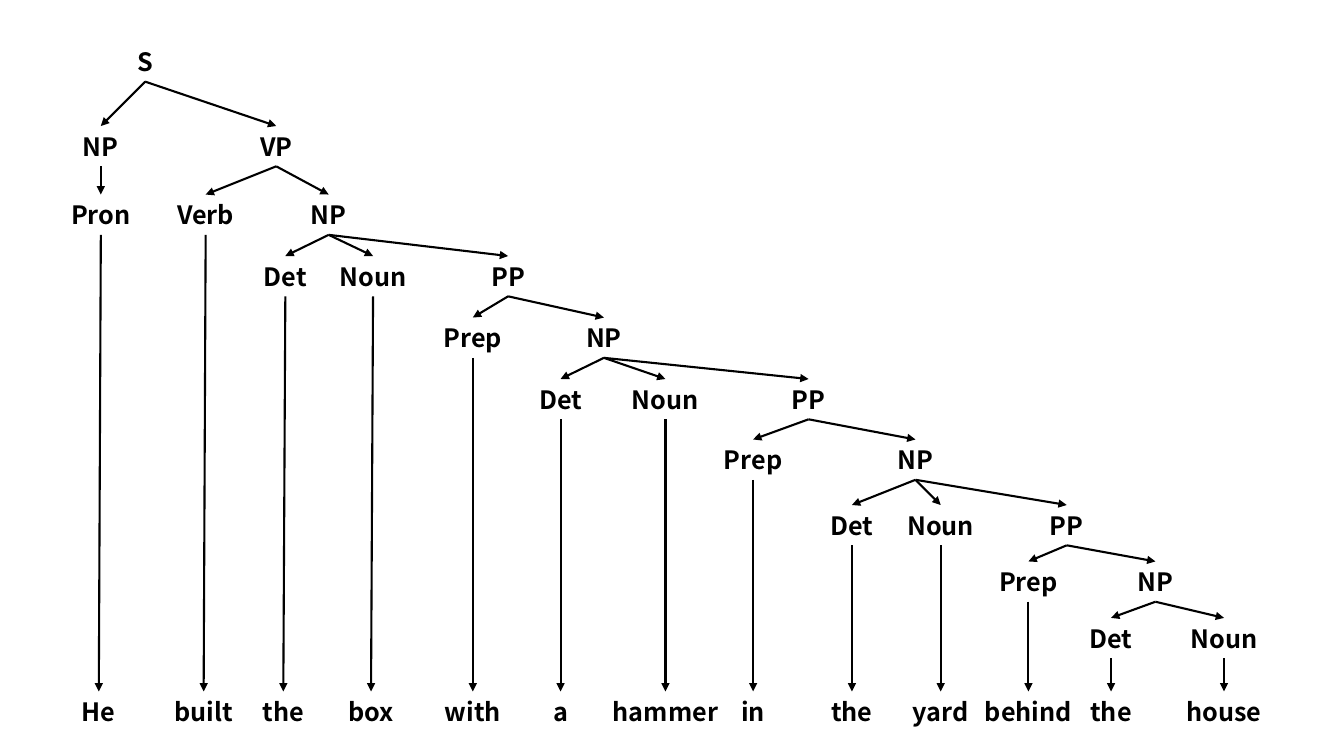
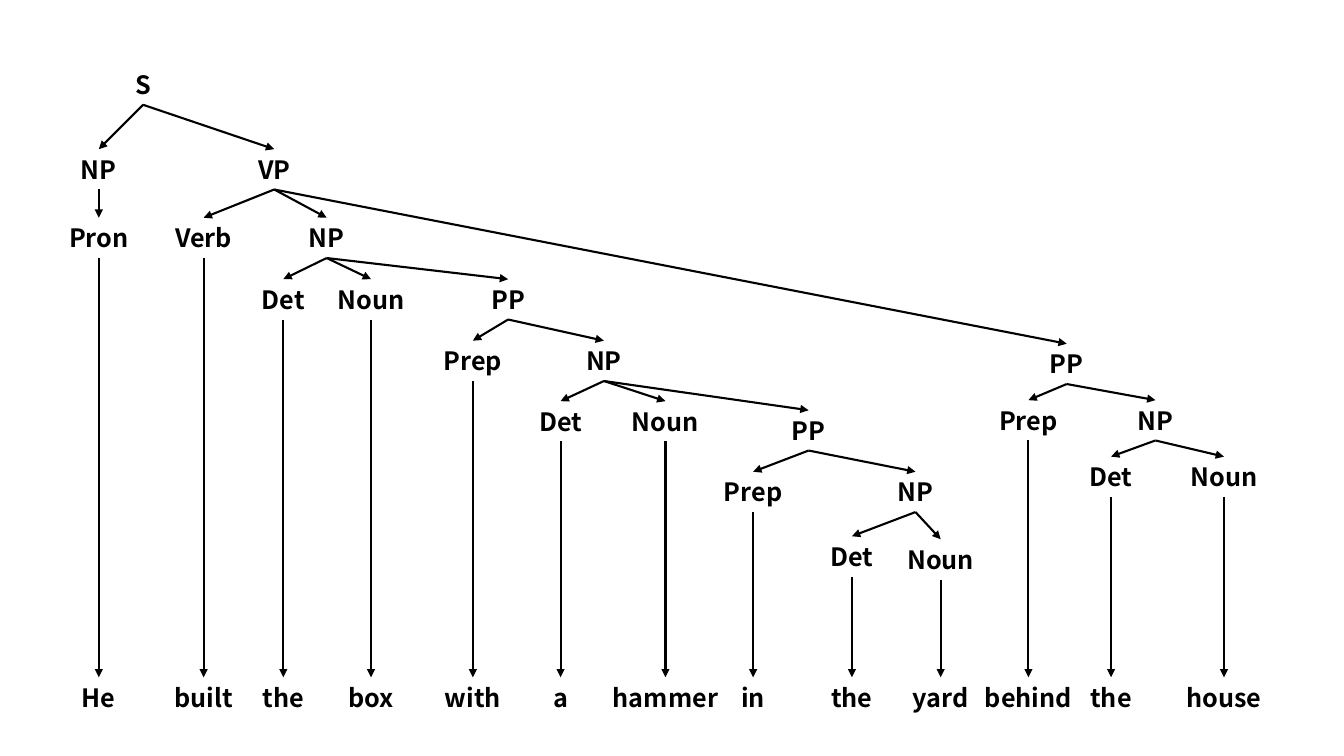
from dataclasses import dataclass

from lxml import etree
from pptx import Presentation
from pptx import util as u
from pptx.dml.color import RGBColor
from pptx.enum import shapes, text
from pptx.oxml.ns import qn

# Grid: the slide is 13.33 columns wide and 7.5 rows high
WIDE, HIGH = 13.33, 7.5
WORDS = "He built the box with a hammer in the yard behind the house".split()
COLS = [0.98, 2.02, 2.81, 3.68, 4.69, 5.56, 6.6,
        7.47, 8.45, 9.33, 10.2, 11.02, 12.14]


def tint(code):
    return RGBColor.from_string(code)


# Grammar: each node has a label, a column, a level and its children
@dataclass
class Node:
    label: str
    col: float
    level: int
    kids: tuple = ()
    word: int = -1
    sag: float = 0


def part(label, word, level, sag=0):
    return Node(label, COLS[word], level, word=word, sag=sag)


def noun(col, level, word, *more, sag=0):
    """Noun phrase: Det and Noun over two words, then any further phrase."""
    kids = part("Det", word, level + 1), part("Noun", word + 1, level + 1, sag)
    return Node("NP", col, level, kids + more)


def prep(col, level, word, right, *more, sag=0):
    """Prepositional phrase: Prep and a noun phrase at column right."""
    kids = (part("Prep", word, level + 1),
            noun(right, level + 1, word + 1, *more, sag=sag))
    return Node("PP", col, level, kids)


def parse_tree(mid, last, split, sag=0):
    """Hang the last phrase on the verb if split, else on the yard."""
    behind = prep(10.58, last, 10, 11.46)
    low, top = ((), (behind,)) if split else ((behind,), ())
    yard = prep(8.02, mid, 7, 9.08, *low, sag=sag)
    hammer = prep(5.04, 3, 4, 5.99, yard)
    box = noun(3.24, 2, 2, hammer)
    he = Node("NP", 0.98, 1, (part("Pron", 0, 2),))
    verb = Node("VP", 2.72, 1, (part("Verb", 1, 2), box) + top)
    return Node("S", 1.42, 0, (he, verb))


class Deck:
    FONT, SIZE, INK, LINE = "Noto Sans CJK JP", 18, "000000", 1.5
    BOX, BROAD, TALL = 0.87, 1.31, 0.4

    def __init__(self):
        self.prs = Presentation()
        self.prs.slide_width = u.Inches(WIDE)
        self.prs.slide_height = u.Inches(HIGH)

    def page(self, rows, base, shift=0):
        self.slide = self.prs.slides.add_slide(self.prs.slide_layouts[6])
        self.rows, self.base, self.shift = rows, base, shift

    def label(self, words, col, row, wide=BOX):
        box = self.slide.shapes.add_textbox(
            *map(u.Inches, (col - wide / 2, row, wide, self.TALL)))
        frame = box.text_frame
        frame.word_wrap = True
        frame.auto_size = text.MSO_AUTO_SIZE.SHAPE_TO_FIT_TEXT
        para = frame.paragraphs[0]
        para.text = words
        para.alignment = text.PP_ALIGN.CENTER
        font = para.font
        font.name, font.size, font.bold = self.FONT, u.Pt(self.SIZE), True
        font.color.rgb = tint(self.INK)

    def arrow(self, start, end):
        link = self.slide.shapes.add_connector(
            shapes.MSO_CONNECTOR.STRAIGHT, *map(u.Inches, start + end))
        link.line.color.rgb = tint(self.INK)
        link.line.width = u.Pt(self.LINE)
        etree.SubElement(link.line._get_or_add_ln(), qn("a:tailEnd"),
                         type="triangle")
        etree.SubElement(link._element.spPr, qn("a:effectLst"))

    def spot(self, node):
        col = node.col + (self.shift if node.col < 4 else 0)
        return col, self.rows[node.level] + node.sag

    def tree(self, node):
        col, row = self.spot(node)
        foot = col, row + self.TALL
        self.label(node.label, col, row)
        for kid in node.kids:
            self.arrow(foot, self.spot(kid))
            self.tree(kid)
        if node.word >= 0:
            end = COLS[node.word]
            self.arrow(foot, (end, self.base))
            self.label(WORDS[node.word], end, self.base,
                       self.BOX if node.word < 6 else self.BROAD)


def main():
    deck = Deck()

    # Reading 1: the yard is behind the house
    deck.page([0.41, 1.25, 1.93, 2.54, 3.15, 3.76, 4.36, 5.01, 5.57, 6.13],
              base=6.86, shift=0.02)
    deck.tree(parse_tree(mid=5, last=7, split=False))

    # Reading 2: the building happens behind the house
    deck.page([0.64, 1.48, 2.16, 2.77, 3.38, 3.98,
               4.07, 4.68, 5.32, 3.41, 3.97, 4.53], base=6.72)
    deck.tree(parse_tree(mid=6, last=9, split=True, sag=0.03))

    deck.prs.save("out.pptx")


if __name__ == "__main__":
    main()
